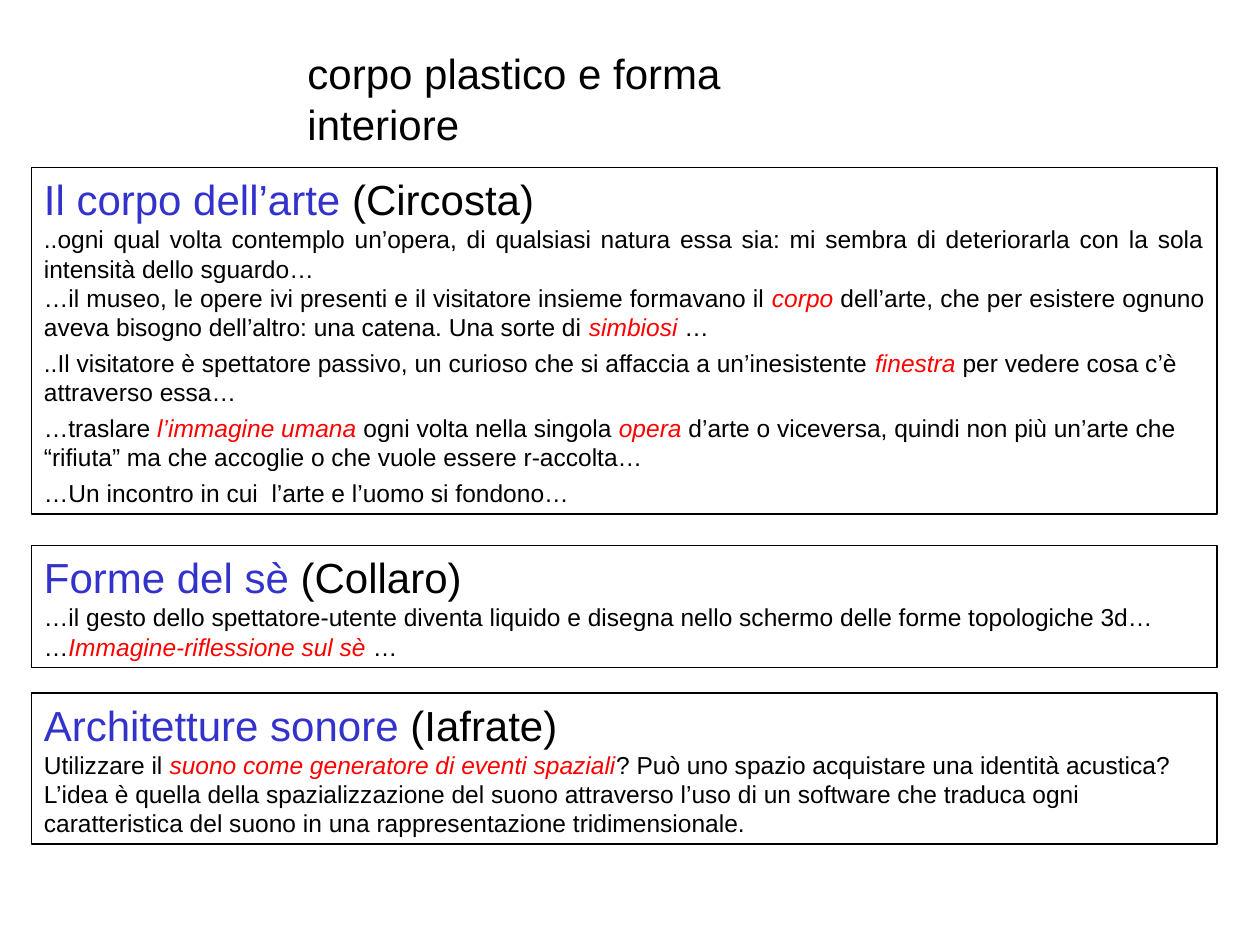
from pptx import Presentation
from pptx import util as u
from pptx.dml.color import RGBColor
from pptx.enum import shapes, text

BLACK = RGBColor(0x00, 0x00, 0x00)
BLUE = RGBColor(0x33, 0x33, 0xCC)
RED = RGBColor(0xFF, 0x00, 0x00)
FONT = "Arial"
HEAD_SIZE, BODY_SIZE = 24, 14
WIDTH, HEIGHT = u.Inches(10), u.Inches(7.5)
LEFT, PANEL_WIDTH = u.Inches(0.25), u.Inches(9.41)
JUSTIFY = {"align": text.PP_ALIGN.JUSTIFY}
SPACED = {"before": 3.5}

PANELS = [
    (1.33, 2.75, "Il corpo dell’arte", "Circosta", [
        ("..ogni qual volta contemplo un’opera, di qualsiasi natura essa sia: "
         "mi sembra di deteriorarla con la sola intensità dello sguardo…", JUSTIFY),
        ("…il museo, le opere ivi presenti e il visitatore insieme formavano il *corpo* "
         "dell’arte, che per esistere ognuno aveva bisogno dell’altro: una catena. "
         "Una sorte di *simbiosi* …", JUSTIFY),
        ("..Il visitatore è spettatore passivo, un curioso che si affaccia a "
         "un’inesistente *finestra* per vedere cosa c’è attraverso essa…", SPACED),
        ("…traslare *l’immagine umana* ogni volta nella singola *opera *d’arte o viceversa, "
         "quindi non più un’arte che “rifiuta” ma che accoglie o che vuole essere "
         "r-accolta…", SPACED),
        ("…Un incontro in cui  l’arte e l’uomo si fondono…", SPACED),
    ]),
    (4.33, 0.97, "Forme del sè", "Collaro", [
        ("…il gesto dello spettatore-utente diventa liquido e disegna nello schermo "
         "delle forme topologiche 3d…", {}),
        ("…*Immagine-riflessione sul sè* …", {}),
    ]),
    (5.5, 1.2, "Architetture sonore", "Iafrate", [
        ("Utilizzare il *suono come generatore di eventi spaziali*? Può uno spazio "
         "acquistare una identità acustica? L’idea è quella della spazializzazione del "
         "suono attraverso l’uso di un software che traduca ogni caratteristica del "
         "suono in una rappresentazione tridimensionale.", {}),
    ]),
]


def write(para, content, size=BODY_SIZE, accent=RED, italic=True,
          align=text.PP_ALIGN.LEFT, before=0):
    para.alignment = align
    para.space_before = u.Pt(before)
    for index, part in enumerate(content.split("*")):
        if not part:
            continue
        marked = index % 2 == 1
        span = para.add_run()
        span.text = part
        span.font.name = FONT
        span.font.size = u.Pt(size)
        span.font.italic = marked and italic
        span.font.color.rgb = accent if marked else BLACK


def set_frame(frame, wrap):
    frame.word_wrap = wrap
    frame.auto_size = text.MSO_AUTO_SIZE.SHAPE_TO_FIT_TEXT
    frame.vertical_anchor = text.MSO_ANCHOR.TOP


def place_title(page, left, top, width, height):
    title = page.shapes.title
    title.left, title.top, title.width, title.height = left, top, width, height
    set_frame(title.text_frame, wrap=False)
    write(title.text_frame.paragraphs[0], "corpo plastico e forma interiore", size=HEAD_SIZE)


def place_panel(page, left, top, width, height, heading, author, body):
    box = page.shapes.add_shape(shapes.MSO_SHAPE.RECTANGLE, left, top, width, height)
    box.shadow.inherit = False
    box.fill.background()
    box.line.color.rgb = BLACK
    box.line.width = u.Pt(0.75)
    frame = box.text_frame
    set_frame(frame, wrap=True)
    write(frame.paragraphs[0], f"*{heading}* ({author})",
          size=HEAD_SIZE, accent=BLUE, italic=False)
    for content, style in body:
        write(frame.add_paragraph(), content, **style)


def main():
    deck = Presentation()
    deck.slide_width, deck.slide_height = WIDTH, HEIGHT
    page = deck.slides.add_slide(deck.slide_layouts.get_by_name("Title Only"))
    place_title(page, u.Inches(2.34), u.Inches(0.33), u.Inches(4.77), u.Inches(0.5))
    for top, height, heading, author, body in PANELS:
        place_panel(page, LEFT, u.Inches(top), PANEL_WIDTH, u.Inches(height),
                    heading, author, body)
    deck.save("out.pptx")


if __name__ == "__main__":
    main()
